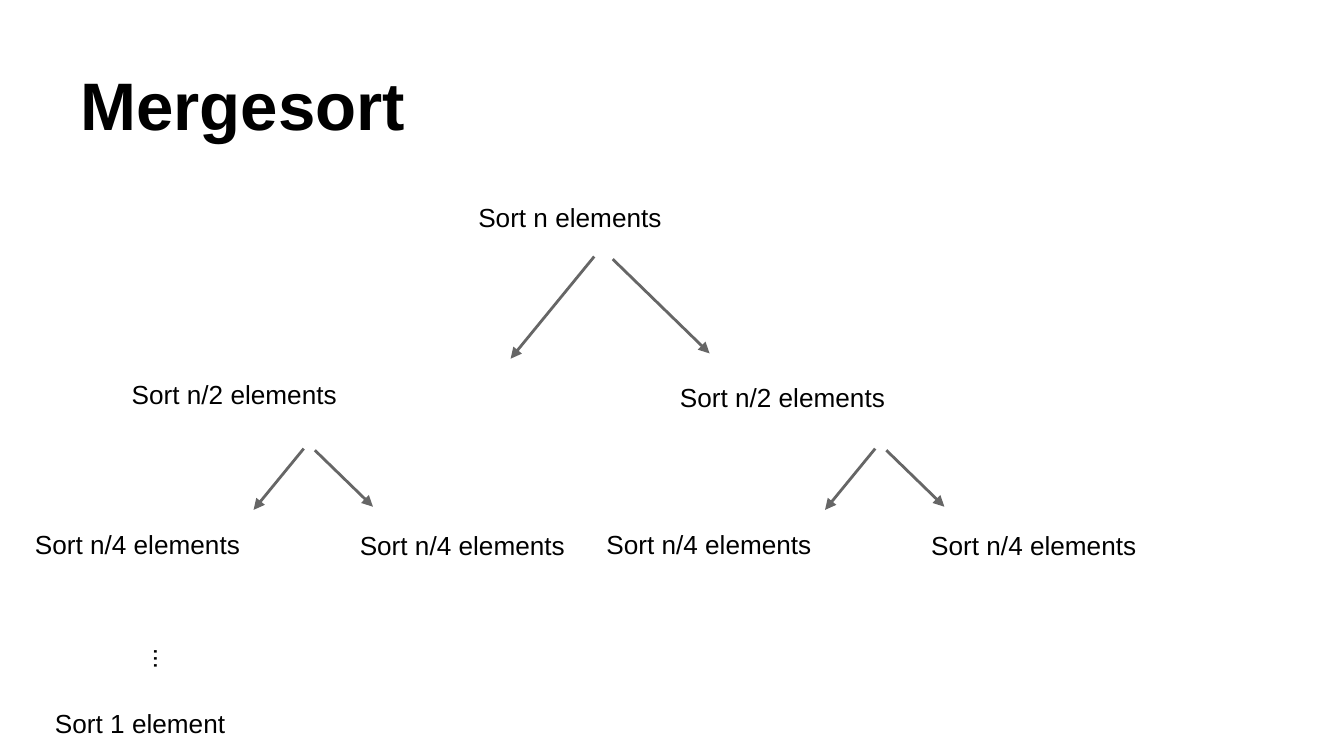
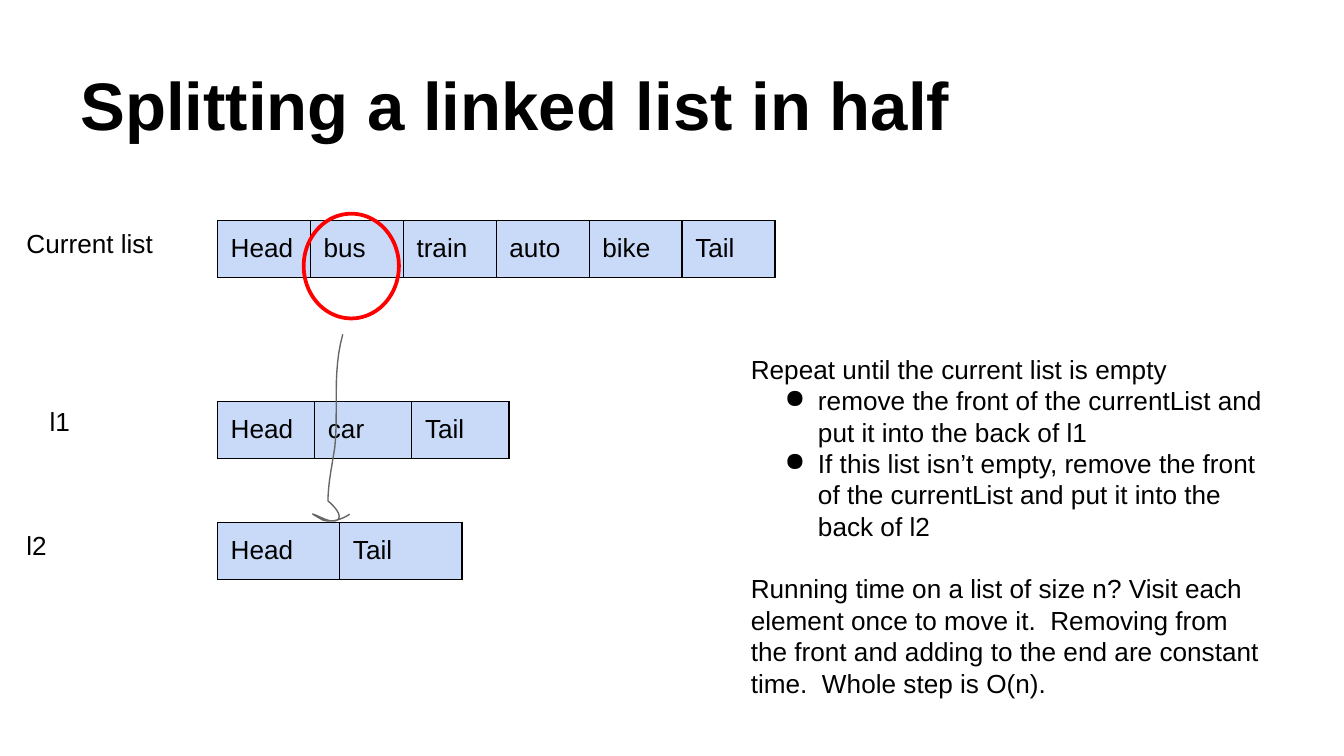
from dataclasses import dataclass

from lxml import etree
from pptx import Presentation
from pptx.dml.color import RGBColor
from pptx.enum.shapes import MSO_CONNECTOR, MSO_SHAPE
from pptx.enum.text import MSO_ANCHOR, MSO_AUTO_SIZE, PP_ALIGN
from pptx.oxml.ns import qn
from pptx.util import Cm, Pt

STRAIGHT = MSO_CONNECTOR.STRAIGHT
ELLIPSE = MSO_SHAPE.OVAL
TOP, BOTTOM = MSO_ANCHOR.TOP, MSO_ANCHOR.BOTTOM
LEFT = PP_ALIGN.LEFT
NO_AUTOFIT = MSO_AUTO_SIZE.NONE
TITLE_ONLY = 5


@dataclass(frozen=True)
class Theme:
    font: str = "Arial"
    ink: str = "000000"
    arrow: str = "666666"
    cell: str = "C9DAF8"
    highlight: str = "FF0000"
    title_size: float = 36
    body_size: float = 14
    arrow_width: float = 1.5
    thin_width: float = 0.75
    highlight_width: float = 2
    inset: float = 0.25
    title_box: tuple = (1.27, 0.58, 22.86, 2.39)


THEME = Theme()


def lengths(*values):
    return [Cm(value) for value in values]


def style_line(line, color, width):
    line.color.rgb = RGBColor.from_string(color)
    line.width = Pt(width)


def write_text(frame, *texts, size=THEME.body_size, bold=False, anchor=TOP,
               bullets=(), space_before=None):
    frame.word_wrap = True
    frame.auto_size = NO_AUTOFIT
    frame.vertical_anchor = anchor
    frame.margin_left = frame.margin_right = Cm(THEME.inset)
    frame.margin_top = frame.margin_bottom = Cm(THEME.inset)
    for index, text in enumerate(texts):
        paragraph = frame.add_paragraph() if index else frame.paragraphs[0]
        paragraph.alignment = LEFT
        paragraph.space_before = Cm((space_before or {}).get(index, 0))
        run = paragraph.add_run()
        run.text = text
        run.font.name = THEME.font
        run.font.size = Pt(size)
        run.font.bold = bold
        run.font.color.rgb = RGBColor.from_string(THEME.ink)
        if index in bullets:
            add_bullet(paragraph)


def add_bullet(paragraph):
    properties = paragraph._p.get_or_add_pPr()
    properties.set("marL", str(Cm(1.27)))
    properties.set("indent", str(-Cm(0.63)))
    bullet = etree.SubElement(properties, qn("a:buChar"))
    bullet.set("char", "●")


def add_text(slide, box, *texts, rotation=0, **text_format):
    shape = slide.shapes.add_textbox(*lengths(*box))
    shape.rotation = rotation
    write_text(shape.text_frame, *texts, **text_format)


def add_titled_slide(presentation, title):
    slide = presentation.slides.add_slide(presentation.slide_layouts[TITLE_ONLY])
    shape = slide.shapes.title
    shape.left, shape.top, shape.width, shape.height = lengths(*THEME.title_box)
    write_text(shape.text_frame, title, size=THEME.title_size, bold=True, anchor=BOTTOM)
    return slide


def add_arrow(slide, start, end):
    connector = slide.shapes.add_connector(STRAIGHT, *lengths(*start, *end))
    style_line(connector.line, THEME.arrow, THEME.arrow_width)
    head = etree.SubElement(connector.line._get_or_add_ln(), qn("a:tailEnd"))
    head.set("type", "triangle")
    etree.SubElement(connector._element.spPr, qn("a:effectLst"))


def add_fork(slide, left, top, scale=1):
    def place(x, y):
        return left + x * scale, top + y * scale

    add_arrow(slide, place(0, 0), place(-1.58, 1.93))
    add_arrow(slide, place(0.35, 0.05), place(2.18, 1.83))


def add_quarters(slide, left, top):
    add_fork(slide, left + 5.33, top, scale=0.6)
    for x, y in ((0, 1.25), (6.14, 1.28)):
        add_text(slide, (left + x, top + y, 5.31, 0.66), "Sort n/4 elements")


def add_sort_tree(slide, left, top):
    width, height = 8.99, 1.12
    add_text(slide, (left + 8.38, top, width, height), "Sort n elements")
    add_fork(slide, left + 10.82, top + 1.29)
    halves = ((1.83, 3.35), (12.19, 3.4))
    for index, (x, y) in enumerate(halves):
        add_text(slide, (left + x, top + y, width, height), "Sort n/2 elements")
        add_quarters(slide, left + index * 10.8, top + 4.92)
    add_text(slide, (left + 1.49, top + 8.12, 1.55, 0.91), "...", rotation=270)
    add_text(slide, (left + 0.38, top + 9.57, 6.71, 0.66), "Sort 1 element")


def add_border(cell):
    properties = cell._tc.get_or_add_tcPr()
    for index, side in enumerate(("lnL", "lnR", "lnT", "lnB")):
        line = etree.Element(qn(f"a:{side}"), w=str(Pt(THEME.thin_width)))
        fill = etree.SubElement(line, qn("a:solidFill"))
        etree.SubElement(fill, qn("a:srgbClr"), val=THEME.ink)
        properties.insert(index, line)


def add_linked_list(slide, left, top, width, label, label_box, items):
    table = slide.shapes.add_table(1, len(items), *lengths(left, top, width, 1.08)).table
    table.first_row = table.horz_banding = False
    for index, item in enumerate(items):
        table.columns[index].width = Cm(width / len(items))
        cell = table.cell(0, index)
        cell.fill.solid()
        cell.fill.fore_color.rgb = RGBColor.from_string(THEME.cell)
        cell.margin_left = cell.margin_right = Cm(THEME.inset)
        cell.margin_top = cell.margin_bottom = Cm(THEME.inset)
        write_cell(cell, item)
        add_border(cell)
    x, y = label_box
    add_text(slide, (left + x, top + y, 2.95, 1.42), label)


def write_cell(cell, text):
    run = cell.text_frame.paragraphs[0].add_run()
    run.text = text
    run.font.name = THEME.font
    run.font.size = Pt(THEME.body_size)
    run.font.color.rgb = RGBColor.from_string(THEME.ink)


def curve_points(start, curves, steps=12):
    points = [start]
    for first, second, end in curves:
        origin = points[-1]
        for step in range(1, steps + 1):
            t = step / steps
            weights = ((1 - t) ** 3, 3 * t * (1 - t) ** 2, 3 * t * t * (1 - t), t ** 3)
            corners = (origin, first, second, end)
            points.append(tuple(
                sum(weight * corner[axis] for weight, corner in zip(weights, corners))
                for axis in (0, 1)))
    return points


def add_hand_drawn_arrow(slide, left, top):
    curves = (
        ((0.41, 0.69), (0.53, 1.42), (0.46, 2.13)),
        ((0.41, 2.46), (0.33, 2.82), (0.33, 3.15)),
        ((0.33, 3.15), (0.64, 3.4), (0.51, 3.51)),
        ((0.38, 3.58), (0.2, 3.45), (0.05, 3.4)),
        ((0, 3.38), (0.18, 3.48), (0.23, 3.51)),
        ((0.38, 3.56), (0.58, 3.51), (0.74, 3.4)),
    )
    points = [lengths(left + x, top + y) for x, y in curve_points((0.61, 0), curves)]
    builder = slide.shapes.build_freeform(*points[0])
    builder.add_line_segments(points[1:], close=False)
    shape = builder.convert_to_shape()
    shape.shadow.inherit = False
    shape.fill.background()
    style_line(shape.line, THEME.arrow, THEME.thin_width)


def add_highlight(slide, box):
    shape = slide.shapes.add_shape(ELLIPSE, *lengths(*box))
    shape.shadow.inherit = False
    shape.fill.background()
    style_line(shape.line, THEME.highlight, THEME.highlight_width)


def add_explanation(slide, box):
    add_text(
        slide, box,
        "Repeat until the current list is empty",
        "remove the front of the currentList and put it into the back of l1",
        "If this list isn’t empty, remove the front of the currentList "
        "and put it into the back of l2",
        "Running time on a list of size n? Visit each element once to move it.  "
        "Removing from the front and adding to the end are constant time.  "
        "Whole step is O(n).",
        bullets=(1, 2), space_before={3: 0.59})


def add_split_diagram(slide, left, top):
    lists = (
        (0, 10.54, "Current list", (-3.86, -0.13),
         ("Head", "bus", "train", "auto", "bike", "Tail")),
        (3.42, 5.51, "l1", (-3.42, -0.17), ("Head", "car", "Tail")),
        (5.71, 4.62, "l2", (-3.86, -0.13), ("Head", "Tail")),
    )
    for offset, width, label, label_box, items in lists:
        add_linked_list(slide, left, top + offset, width, label, label_box, items)
    add_hand_drawn_arrow(slide, left + 1.76, top + 2.15)
    add_highlight(slide, (left + 1.63, top - 0.13, 1.8, 1.98))


def main():
    presentation = Presentation()
    presentation.slide_width, presentation.slide_height = lengths(25.4, 14.29)
    slide = add_titled_slide(presentation, "Mergesort")
    add_sort_tree(slide, 0.41, 3.56)
    slide = add_titled_slide(presentation, "Splitting a linked list in half")
    add_split_diagram(slide, 4.11, 4.17)
    add_explanation(slide, (13.94, 6.43, 10.19, 7.24))
    presentation.save("out.pptx")


main()
